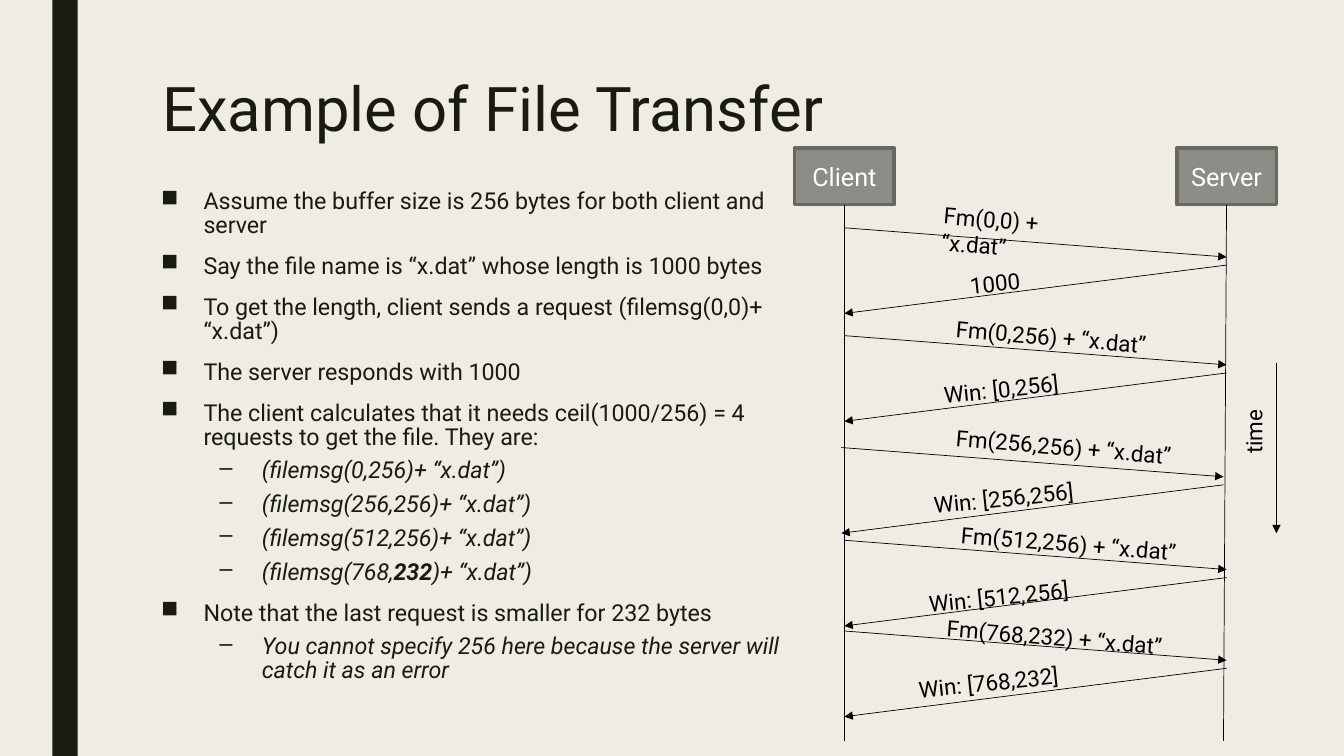
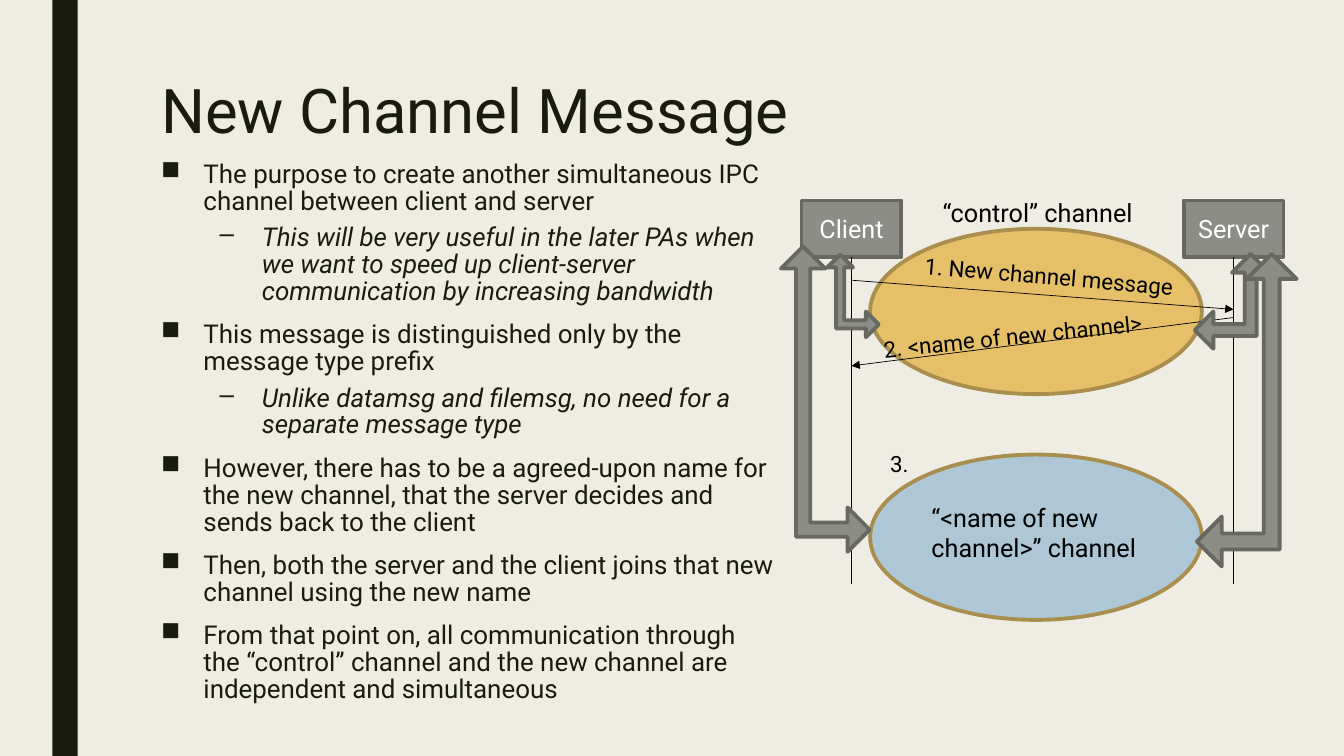
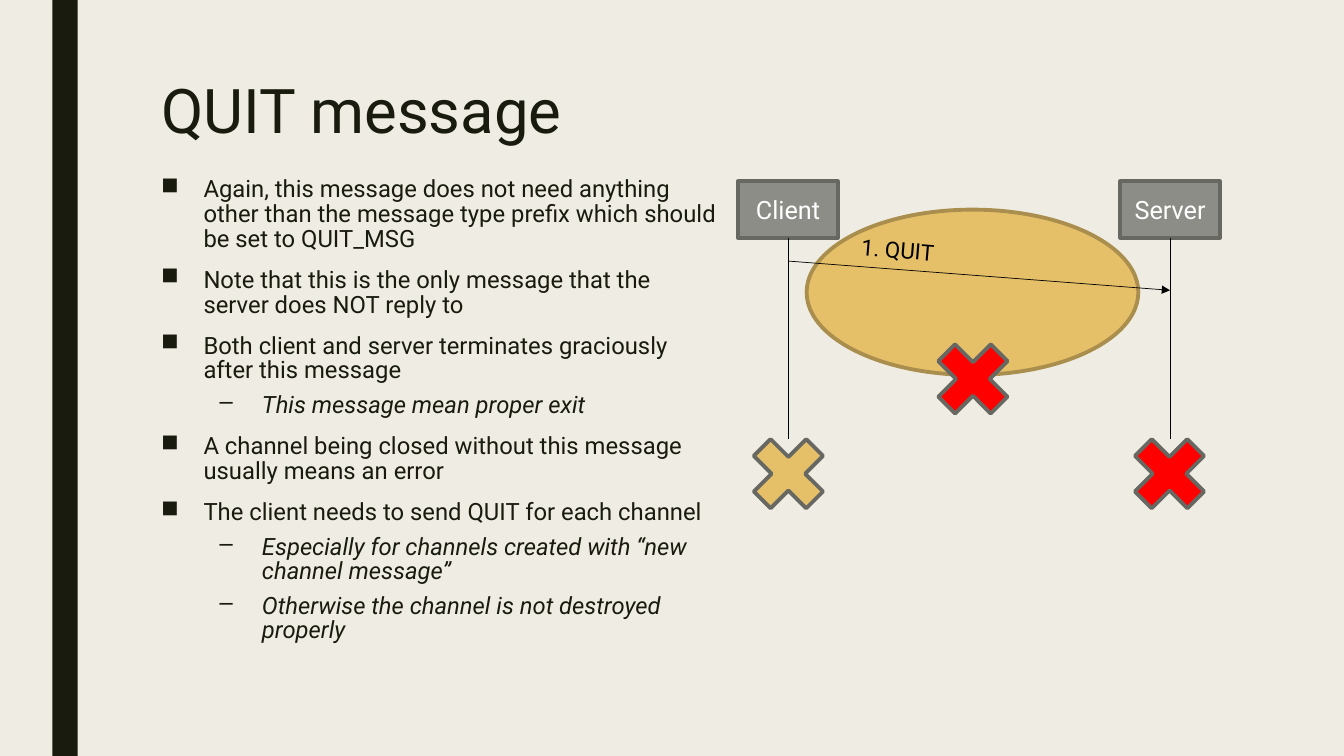
from lxml import etree
from pptx import Presentation
from pptx.dml.color import RGBColor
from pptx.enum.shapes import MSO_CONNECTOR, MSO_SHAPE
from pptx.enum.text import MSO_ANCHOR, MSO_AUTO_SIZE, PP_ALIGN
from pptx.oxml.ns import qn
from pptx.util import Inches, Pt

RECT, OVAL = MSO_SHAPE.RECTANGLE, MSO_SHAPE.OVAL
ELBOW, CROSS = MSO_SHAPE.LEFT_UP_ARROW, MSO_SHAPE.MATH_MULTIPLY
STRAIGHT = MSO_CONNECTOR.STRAIGHT
TOP, MIDDLE = MSO_ANCHOR.TOP, MSO_ANCHOR.MIDDLE
LEFT, CENTER = PP_ALIGN.LEFT, PP_ALIGN.CENTER
NO_FIT, GROW = MSO_AUTO_SIZE.NONE, MSO_AUTO_SIZE.SHAPE_TO_FIT_TEXT

FONT = "Roboto"
COLORS = {
    "paper": "EFEDE3", "ink": "191B0E", "black": "000000", "white": "FFFFFF",
    "gray": "8C8D86", "gray_line": "686863", "gold": "E6C069",
    "gold_line": "AA8E4E", "blue": "ADC7D6", "red": "FF0000",
}
BULLETS = [("■", 0.42, 10), ("–", 1, 5)]
HANG = 0.42
BOX_W, BOX_H = 0.99, 0.56
SPAN = 3.79
REQUEST_DROP, REPLY_START, REPLY_END = 0.29, 0.37, 0.85
REQUEST_TILT, REPLY_TILT = 4.9, 354.1
OVAL_W, OVAL_H = 3.29, 1.64

TRANSFER = {
    "title": "Example of File Transfer", "title_at": (1.51, 0.73, 10.5, 0.91),
    "body_at": (1.5, 1.84, 6.38, 5.31), "size": 16.6,
    "body": [
        (0, "Assume the buffer size is 256 bytes for both client and server"),
        (0, "Say the file name is “x.dat” whose length is 1000 bytes"),
        (0, "To get the length, client sends a request (filemsg(0,0)+ “x.dat”)"),
        (0, "The server responds with 1000"),
        (0, "The client calculates that it needs ceil(1000/256) = 4 requests to get the file. They are:"),
        (1, "(filemsg(0,256)+ “x.dat”)"),
        (1, "(filemsg(256,256)+ “x.dat”)"),
        (1, "(filemsg(512,256)+ “x.dat”)"),
        (1, "(filemsg(768,*232*)+ “x.dat”)"),
        (0, "Note that the last request is smaller for 232 bytes"),
        (1, "You cannot specify 256 here because the server will catch it as an error"),
    ],
}
EXCHANGES = [
    (2.26, 0, ("Fm(0,0) + “x.dat”", 9.26, 2.02, 1.81), ("1000", 9.52, 2.62, 0.77)),
    (3.33, 0, ("Fm(0,256) + “x.dat”", 9.38, 3.17, 2.37), ("Win: [0,256]", 9.26, 3.67, 1.43)),
    (4.44, -0.03, ("Fm(256,256) + “x.dat”", 9.38, 4.25, 2.37), ("Win: [256,256]", 9.16, 4.75, 1.71)),
    (5.36, 0, ("Fm(512,256) + “x.dat”", 9.43, 5.21, 2.37), ("Win: [512,256]", 9.11, 5.73, 1.71)),
    (6.26, 0, ("Fm(768,232) + “x.dat”", 9.29, 6.14, 2.37), ("Win: [768,232]", 9.01, 6.58, 1.71)),
]
CHANNEL = {
    "title": "New Channel Message", "title_at": (1.5, 0.75, 10.5, 0.94),
    "body_at": (1.5, 1.56, 6.27, 5.54), "size": 18.5,
    "body": [
        (0, "The purpose to create another simultaneous IPC channel between client and server"),
        (1, "This will be very useful in the later PAs when we want to speed up client-server communication by increasing bandwidth"),
        (0, "This message is distinguished only by the message type prefix"),
        (1, "Unlike datamsg and filemsg, no need for a separate message type"),
        (0, "However, there has to be a agreed-upon name for the new channel, that the server decides and sends back to the client"),
        (0, "Then, both the server and the client joins that new channel using the new name"),
        (0, "From that point on, all communication through the “control” channel and the new channel are independent and simultaneous"),
    ],
}
CONTROL_ELBOWS = [((8.05, 2.68, 0.82, 0.51), 90), ((11.85, 2.52, 0.74, 0.94), 0)]
NEW_ELBOWS = [((11.87, 2.52, 0.99, 3.1), 0), ((6.67, 3.52, 3.03, 0.88), 90)]
QUIT = {
    "title": "QUIT message", "title_at": (1.5, 0.75, 10.5, 1.09),
    "body_at": (1.5, 1.72, 5.75, 4.7), "size": 17,
    "body": [
        (0, "Again, this message does not need anything other than the message type prefix which should be set to QUIT_MSG"),
        (0, "Note that this is the only message that the server does NOT reply to"),
        (0, "Both client and server terminates graciously after this message"),
        (1, "This message mean proper exit"),
        (0, "A channel being closed without this message usually means an error"),
        (0, "The client needs to send QUIT for each channel"),
        (1, "Especially for channels created with “new channel message”"),
        (1, "Otherwise the channel is not destroyed properly"),
    ],
}
CROSSES = [(7.32, 4.2, "gold"), (11.1, 4.2, "red"), (9.15, 3.26, "red")]


def rgb(name):
    return RGBColor.from_string(COLORS[name])


def style(p, size, color, italic=None):
    for r in p.runs:
        f = r.font
        f.name, f.size, f.italic = FONT, Pt(size), italic
        f.color.rgb = rgb(color)


def add_shape(s, kind, at, fill, line=None, rotation=0):
    sp = s.shapes.add_shape(kind, *map(Inches, at))
    sp.shadow.inherit = False
    sp.rotation = rotation
    sp.fill.solid()
    sp.fill.fore_color.rgb = rgb(fill)
    if line:
        sp.line.color.rgb = rgb(line)
        sp.line.width = Pt(2.75)
    else:
        sp.line.fill.background()
    return sp


def add_oval(s, x, y, fill):
    add_shape(s, OVAL, (x, y, OVAL_W, OVAL_H), fill, "gold_line")


def add_elbows(s, elbows):
    for at, rotation in elbows:
        sp = add_shape(s, ELBOW, at, "gray", "gray_line", rotation)
        for i, value in enumerate((0.16, 0.25, 0.25)):
            sp.adjustments[i] = value


def add_line(s, x1, y1, x2, y2, arrow=False):
    cx = s.shapes.add_connector(STRAIGHT, *map(Inches, (x1, y1, x2, y2)))
    cx.line.color.rgb = rgb("black")
    cx.line.width = Pt(0.5)
    props = cx.element.spPr
    if arrow:
        etree.SubElement(props.find(qn("a:ln")), qn("a:tailEnd"), type="triangle")
    etree.SubElement(props, qn("a:effectLst"))
    return cx


def add_label(s, text, x, y, w, rotation=0, size=16, h=0.37):
    tb = s.shapes.add_textbox(*map(Inches, (x, y, w, h)))
    tb.rotation = rotation
    tf = tb.text_frame
    tf.word_wrap, tf.auto_size = True, GROW
    tf.text = text
    style(tf.paragraphs[0], size, "black")


def add_actors(s, x, y, end, lean=0):
    for name, left, dx in (("Client", x, 0), ("Server", x + SPAN, lean)):
        sp = add_shape(s, RECT, (left, y, BOX_W, BOX_H), "gray", "gray_line")
        tf = sp.text_frame
        tf.text, tf.vertical_anchor = name, MIDDLE
        p = tf.paragraphs[0]
        p.alignment = CENTER
        style(p, 18, "white")
        mid = left + BOX_W / 2
        add_line(s, mid, y + BOX_H, mid + dx, end).begin_connect(sp, 2)
    return x + BOX_W / 2


def add_request(s, x, y, label):
    add_line(s, x, y, x + SPAN, y + REQUEST_DROP, True)
    add_label(s, *label, REQUEST_TILT)


def add_reply(s, x, y, label):
    add_line(s, x + SPAN, y + REPLY_START, x, y + REPLY_END, True)
    add_label(s, *label, REPLY_TILT)


def add_body(s, at, items, size):
    tf = s.shapes.add_textbox(*map(Inches, at)).text_frame
    tf.word_wrap = True
    for i, (level, text) in enumerate(items):
        mark, margin, before = BULLETS[level]
        p = tf.add_paragraph() if i else tf.paragraphs[0]
        for j, part in enumerate(text.split("*")):
            r = p.add_run()
            r.text = part
            r.font.bold = j % 2 == 1
        style(p, size, "ink", level == 1)
        p.level, p.line_spacing = level, 0.86
        p.space_before, p.space_after = Pt(before), Pt(2)
        props = p._p.get_or_add_pPr()
        props.set("marL", str(Inches(margin)))
        props.set("indent", str(-Inches(HANG)))
        etree.SubElement(props, qn("a:buChar"), char=mark)


def add_slide(prs, content):
    s = prs.slides.add_slide(prs.slide_layouts[5])
    title = s.shapes.title
    title.left, title.top, title.width, title.height = map(Inches, content["title_at"])
    tf = title.text_frame
    tf.text = content["title"]
    tf.vertical_anchor, tf.auto_size, tf.word_wrap = TOP, NO_FIT, True
    p = tf.paragraphs[0]
    p.alignment, p.line_spacing = LEFT, 0.89
    style(p, 44, "ink")
    add_body(s, content["body_at"], content["body"], content["size"])
    return s


def set_master(prs, s):
    master = prs.slide_master
    master.background.fill.solid()
    master.background.fill.fore_color.rgb = rgb("paper")
    bar = add_shape(s, RECT, (0.52, 0, 0.25, 7.5), "ink")
    bar.element.nvSpPr.cNvPr.set("id", "20")
    master.shapes.element.insert(2, bar.element)


def main():
    prs = Presentation()
    prs.slide_width, prs.slide_height = Inches(13.33), Inches(7.5)

    s = add_slide(prs, TRANSFER)
    set_master(prs, s)
    x = add_actors(s, 7.88, 1.47, 7.35, -0.03)
    for y, dx, request, reply in EXCHANGES:
        add_request(s, x + dx, y, request)
        add_reply(s, x + dx, y, reply)
    add_line(s, 12.66, 3.6, 12.66, 5.29, True)
    add_label(s, "time", 12.05, 4.03, 0.77, 270)

    s = add_slide(prs, CHANNEL)
    add_oval(s, 8.63, 2.27, "gold")
    x = add_actors(s, 7.95, 1.99, 5.79)
    add_request(s, x, 2.78, ("1. New channel message", 9.07, 2.56, 2.77))
    add_reply(s, x, 2.78, ("2. <name of new channel>", 8.66, 3.15, 2.78))
    add_label(s, "“control” channel", 9.25, 1.91, 2.42, size=18, h=0.4)
    add_elbows(s, CONTROL_ELBOWS)
    add_oval(s, 8.63, 4.51, "blue")
    add_label(s, "“<name of new channel>” channel", 9.14, 4.93, 2.41, size=18, h=0.71)
    add_elbows(s, NEW_ELBOWS)
    add_label(s, "3.", 8.73, 4.42, 0.57)

    s = add_slide(prs, QUIT)
    add_oval(s, 8, 2.08, "gold")
    x = add_actors(s, 7.32, 1.8, 4.36)
    add_request(s, x, 2.59, ("1. QUIT", 8.44, 2.37, 2.77))
    for left, top, fill in CROSSES:
        add_shape(s, CROSS, (left, top, 1, 1), fill, "gray_line")

    prs.save("out.pptx")


if __name__ == "__main__":
    main()
